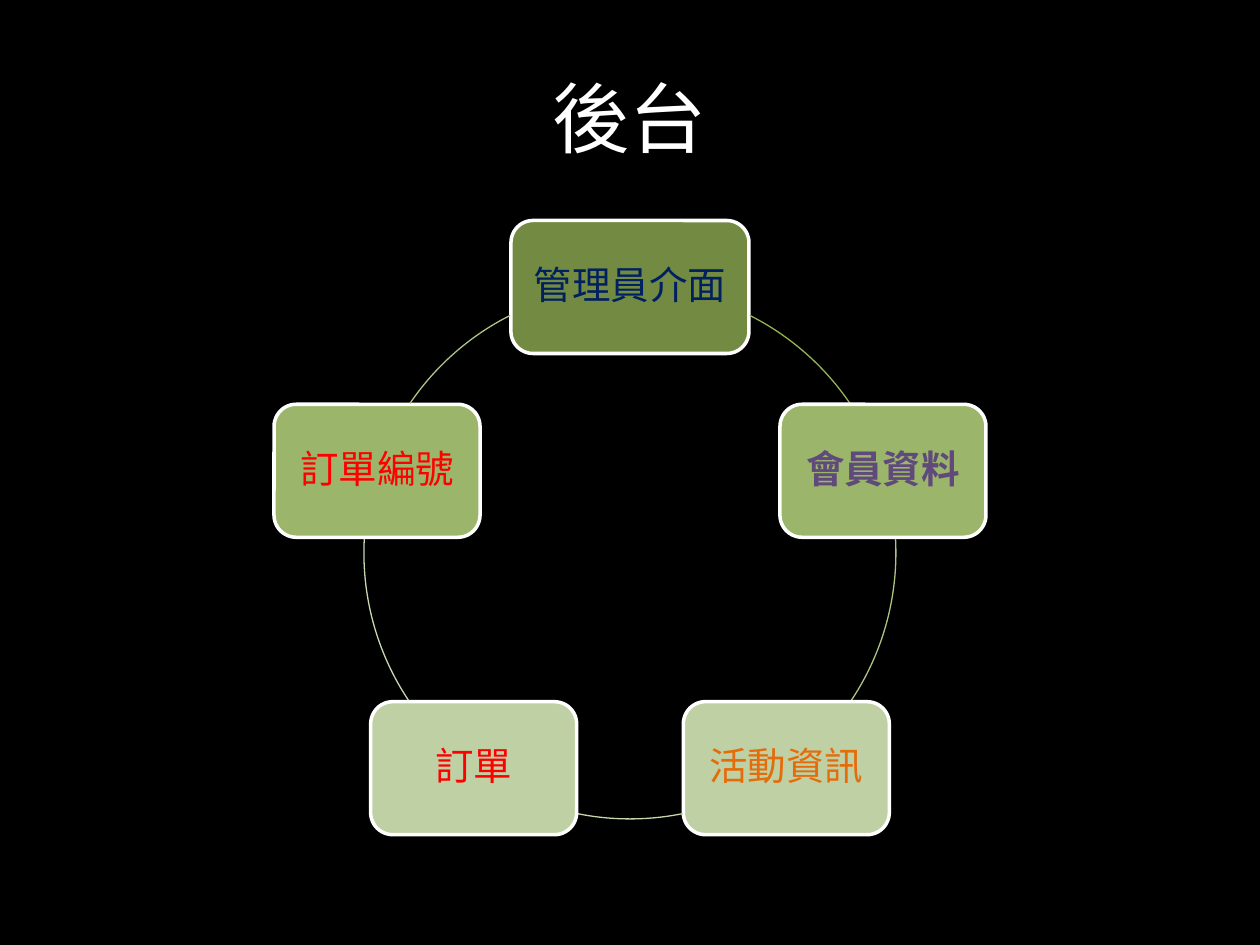
from math import cos, radians, sin

from pptx import Presentation
from pptx.dml.color import RGBColor
from pptx.enum.shapes import MSO_SHAPE as Preset
from pptx.enum.text import MSO_ANCHOR as Anchor, PP_ALIGN as Align
from pptx.util import Pt

PX = 914400 // 126
CENTER_X, CENTER_Y, RADIUS = 630, 553, 266
COLORS = {
    "background": "000000", "white": "FFFFFF", "navy": "002060",
    "purple": "604A7B", "orange": "E46C0A", "red": "FF0000",
    "dark": "738A42", "medium": "9BB66B", "light": "BFD0A4",
    "arc_dark": "94B355", "arc_medium": "ADC483", "arc_light": "C7D7AF",
}
NODE_FRAME = {
    "word_wrap": True, "vertical_anchor": Anchor.MIDDLE,
    "margin_left": 11 * PX, "margin_right": 11 * PX,
    "margin_top": 11 * PX, "margin_bottom": 11 * PX,
}
TITLE_FRAME = {"word_wrap": True, "vertical_anchor": Anchor.MIDDLE}
NODE_PARAGRAPH = {"alignment": Align.CENTER, "line_spacing": 0.9, "space_after": Pt(7.7)}
TITLE_PARAGRAPH = {"alignment": Align.CENTER}
NODES = [
    ("管理員介面", 238, "dark", "navy", False),
    ("會員資料", 206, "medium", "purple", True),
    ("活動資訊", 206, "light", "orange", False),
    ("訂單", 206, "light", "red", False),
    ("訂單編號", 206, "medium", "red", False),
]
ARCS = [
    (296.8, 325.8, "arc_dark"),
    (357, 33.6, "arc_medium"),
    (78.5, 101.5, "arc_light"),
    (146.4, 183, "arc_light"),
    (214.2, 243.2, "arc_medium"),
]


def color(name):
    return RGBColor.from_string(COLORS[name])


def apply(target, values):
    for key, value in values.items():
        setattr(target, key, value)


def write(frame, text, frame_format, paragraph_format, size, ink, bold=False):
    apply(frame, frame_format)
    paragraph = frame.paragraphs[0]
    apply(paragraph, paragraph_format)
    run = paragraph.add_run()
    run.text = text
    apply(run.font, {"name": "Calibri", "size": Pt(size), "bold": bold})
    run.font.color.rgb = color(ink)


def add_outlined(slide, preset, box, line, width):
    outlined = slide.shapes.add_shape(preset, *(round(length * PX) for length in box))
    outlined.shadow.inherit = False
    outlined.line.color.rgb = color(line)
    outlined.line.width = Pt(width)
    return outlined


def add_title(slide, text):
    title = slide.shapes.add_textbox(63 * PX, 38 * PX, 1134 * PX, 157 * PX)
    write(title.text_frame, text, TITLE_FRAME, TITLE_PARAGRAPH, 44, "white")


def add_node(slide, index, text, width, fill, ink, bold):
    height = 133
    angle = radians(72 * index - 90)
    left = CENTER_X + RADIUS * cos(angle) - width / 2
    top = CENTER_Y + RADIUS * sin(angle) - height / 2
    node = add_outlined(slide, Preset.ROUNDED_RECTANGLE, (left, top, width, height), "white", 2)
    node.fill.solid()
    node.fill.fore_color.rgb = color(fill)
    write(node.text_frame, text, NODE_FRAME, NODE_PARAGRAPH, 22, ink, bold)


def add_arc(slide, start, end, line):
    box = (CENTER_X - RADIUS, CENTER_Y - RADIUS, 2 * RADIUS, 2 * RADIUS)
    arc = add_outlined(slide, Preset.ARC, box, line, 0.75)
    arc.fill.background()
    for position, degrees in enumerate((start, end)):
        arc.adjustments[position] = degrees * 0.6


def main():
    deck = Presentation()
    apply(deck, {"slide_width": 1260 * PX, "slide_height": 945 * PX})
    slide = deck.slides.add_slide(deck.slide_layouts[6])
    slide.background.fill.solid()
    slide.background.fill.fore_color.rgb = color("background")
    add_title(slide, "後台")
    for index, (node, arc) in enumerate(zip(NODES, ARCS)):
        add_node(slide, index, *node)
        add_arc(slide, *arc)
    deck.save("out.pptx")


main()
